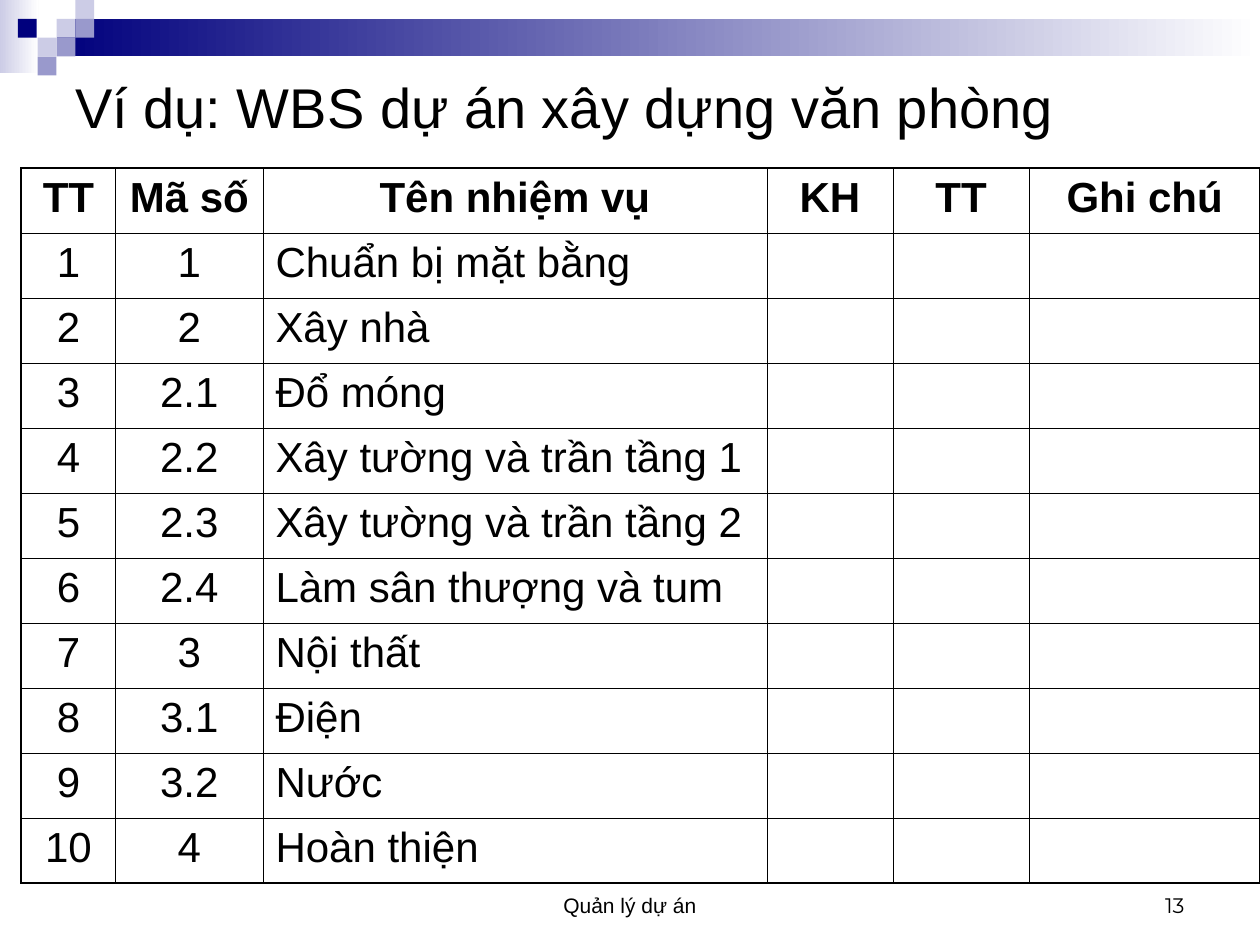
from pptx import Presentation
from pptx.dml.color import RGBColor
from pptx.enum.shapes import MSO_SHAPE
from pptx.enum.text import MSO_ANCHOR, PP_ALIGN
from pptx.oxml import parse_xml
from pptx.oxml.ns import nsdecls
from pptx.util import Cm, Pt

NAVY, LILAC, PALE, WHITE, BLACK = "00007D", "9999CC", "CCCCE6", "FFFFFF", "000000"
LEFT, MID, RIGHT = PP_ALIGN.LEFT, PP_ALIGN.CENTER, PP_ALIGN.RIGHT


def paint(fill, *hues):
    """Fill with one colour, or with a left-to-right gradient of two."""
    if len(hues) == 1:
        fill.solid()
        fill.fore_color.rgb = RGBColor.from_string(hues[0])
        return
    fill.gradient()
    fill.gradient_angle = 0
    for stop, hue in zip(fill.gradient_stops, hues):
        stop.color.rgb = RGBColor.from_string(hue)


def write(frame, text, size=24, face="Arial", bold=False, align=LEFT,
          anchor=MSO_ANCHOR.TOP, before=0, lead=None):
    frame.word_wrap = True
    frame.vertical_anchor = anchor
    para = frame.paragraphs[0]
    para.alignment = align
    para.space_before = Pt(before)
    para.line_spacing = lead
    run = para.add_run()
    run.text = text
    run.font.size, run.font.name, run.font.bold = Pt(size), face, bold
    paint(run.font.fill, BLACK)


deck = Presentation()
deck.slide_width, deck.slide_height = Cm(25.4), Cm(19.05)
slide = deck.slides.add_slide(deck.slide_layouts[6])
shapes = slide.shapes

# Header band and its squares
unit = 0.38
bars = [
    (0, 0, 0.78, 1.48, (PALE, WHITE)),
    (1.14, unit, 24.26, 2 * unit, (NAVY, WHITE)),
]
squares = [(3, 1, PALE), (4, 0, PALE), (4, 1, LILAC), (2, 2, PALE),
           (0.95, 1, NAVY), (3, 2, LILAC), (2, 3, LILAC)]
for col, row, hue in squares:
    bars.append((col * unit, row * unit, unit, unit, (hue,)))
for x, y, w, h, hues in bars:
    bar = shapes.add_shape(MSO_SHAPE.RECTANGLE, Cm(x), Cm(y), Cm(w), Cm(h))
    bar.shadow.inherit = False
    bar.line.fill.background()
    paint(bar.fill, *hues)

# Title and footer
low = dict(size=12, anchor=MSO_ANCHOR.BOTTOM)
labels = [
    (8.68, 17.36, 8.04, 1.27, "Quản lý dự án", dict(low, align=MID)),
    (18.2, 17.36, 5.93, 1.27, "13", dict(low, align=RIGHT, face="Montserrat")),
    (1.27, 1.06, 22.86, 2.33, "Ví dụ: WBS dự án xây dựng văn phòng",
     dict(size=32, anchor=MSO_ANCHOR.MIDDLE, lead=0.9)),
]
for x, y, w, h, text, style in labels:
    box = shapes.add_textbox(Cm(x), Cm(y), Cm(w), Cm(h))
    write(box.text_frame, text, **style)

# Work breakdown table
heads = ["TT", "Mã số", "Tên nhiệm vụ", "KH", "TT", "Ghi chú"]
tasks = [
    ("1", "Chuẩn bị mặt bằng"),
    ("2", "Xây nhà"),
    ("2.1", "Đổ móng"),
    ("2.2", "Xây tường và trần tầng 1"),
    ("2.3", "Xây tường và trần tầng 2"),
    ("2.4", "Làm sân thượng và tum"),
    ("3", "Nội thất"),
    ("3.1", "Điện"),
    ("3.2", "Nước"),
    ("4", "Hoàn thiện"),
]
rows = [heads] + [[str(n), code, name, "", "", ""]
                  for n, (code, name) in enumerate(tasks, 1)]
widths = [1.9, 2.97, 10.16, 2.54, 2.75, 4.65]
last, end = len(rows) - 1, len(widths) - 1
table = shapes.add_table(len(rows), len(widths), Cm(0.43), Cm(3.39),
                         Cm(sum(widths)), Cm(14.4)).table
table.first_row = table.horz_banding = False
for column, width in zip(table.columns, widths):
    column.width = Cm(width)
for r, texts in enumerate(rows):
    table.rows[r].height = Cm(1.31)
    for c, text in enumerate(texts):
        cell = table.cell(r, c)
        edges = {"L": c == 0, "R": c == end, "T": r == 0, "B": r == last}
        for side, outer in edges.items():
            wide = Pt(1.08 if outer else 0.45)
            cell._tc.get_or_add_tcPr().append(parse_xml(
                f'<a:ln{side} {nsdecls("a")} w="{wide}"><a:solidFill>'
                f'<a:srgbClr val="{BLACK}"/></a:solidFill></a:ln{side}>'))
        cell.fill.background()
        if text:
            align = LEFT if c == 2 and r else MID
            write(cell.text_frame, text, bold=r == 0, align=align, before=6)

deck.save("out.pptx")
